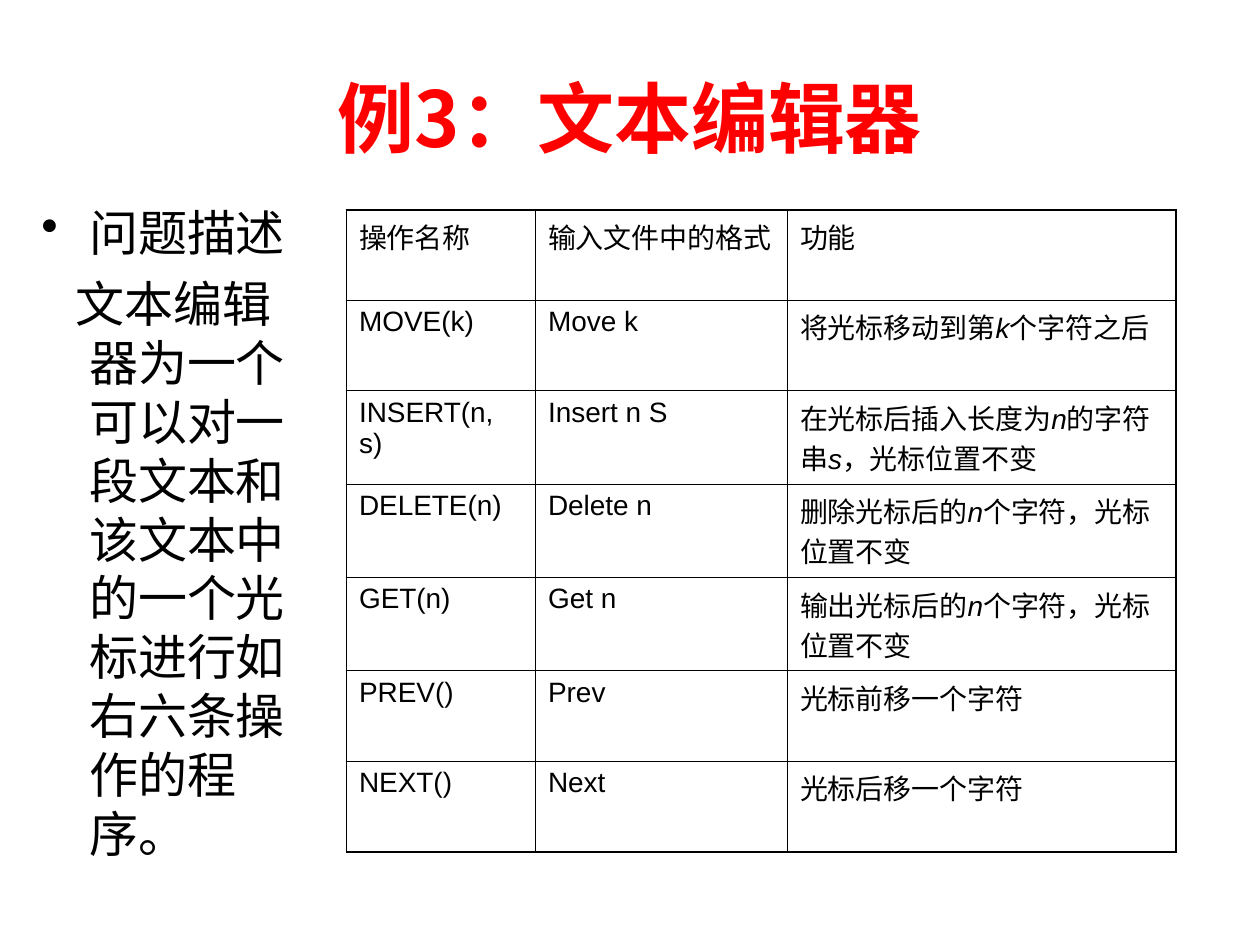
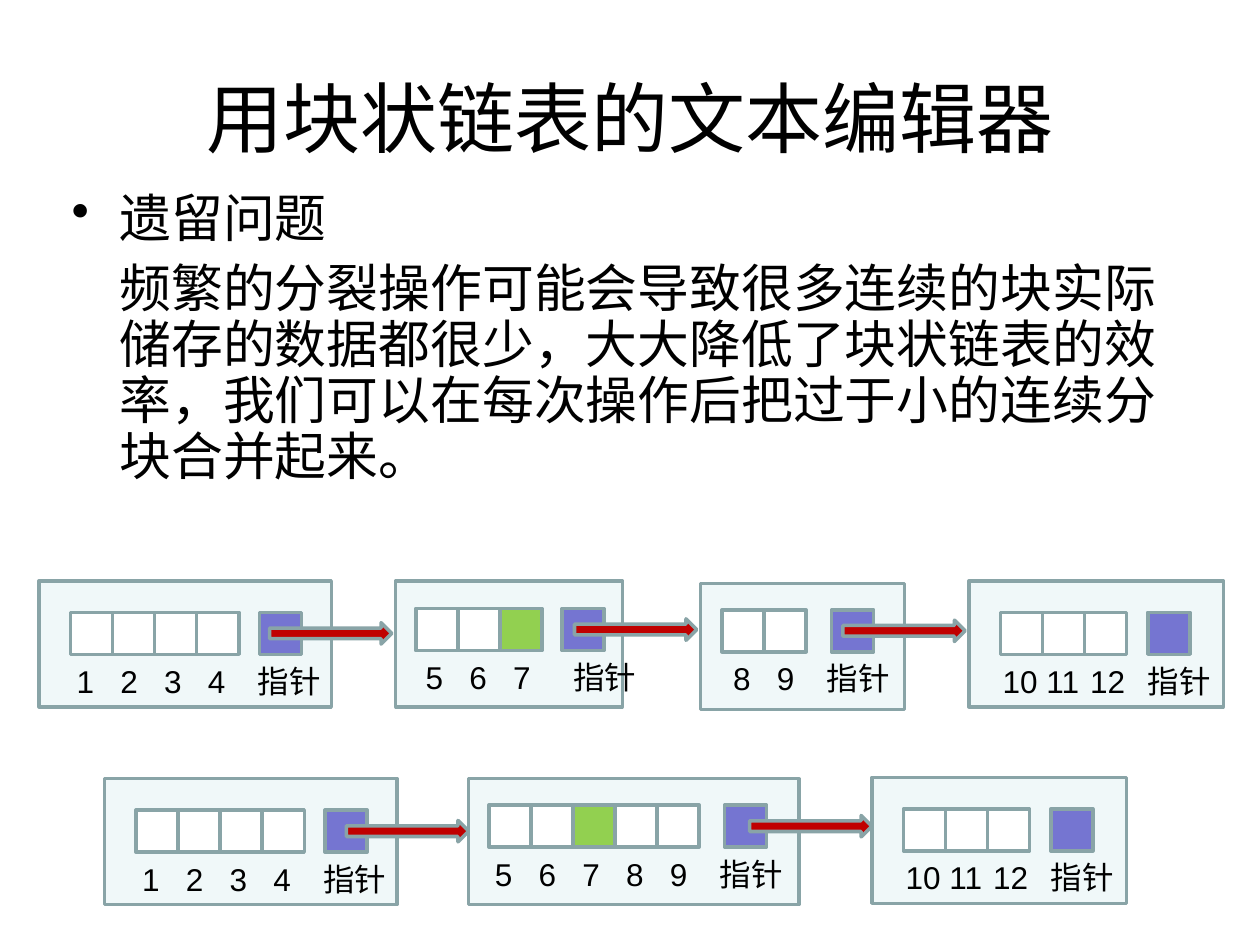
from dataclasses import dataclass

from lxml import etree
from pptx import Presentation
from pptx.dml.color import RGBColor
from pptx.enum.shapes import MSO_SHAPE
from pptx.enum.text import MSO_ANCHOR, MSO_AUTO_SIZE, PP_ALIGN
from pptx.oxml.ns import qn
from pptx.util import Inches, Pt

RECTANGLE = MSO_SHAPE.RECTANGLE
RIGHT_ARROW = MSO_SHAPE.RIGHT_ARROW
CENTER = PP_ALIGN.CENTER
MIDDLE = MSO_ANCHOR.MIDDLE
NO_AUTOFIT = MSO_AUTO_SIZE.NONE

BLACK = RGBColor(0x00, 0x00, 0x00)
WHITE = RGBColor(0xFF, 0xFF, 0xFF)
RED = RGBColor(0xFF, 0x00, 0x00)
BLOCK_FILL = RGBColor(0xBB, 0xE0, 0xE3)
OUTLINE = RGBColor(0x89, 0xA4, 0xA7)
POINTER_FILL = RGBColor(0x75, 0x75, 0xD1)
MARK_FILL = RGBColor(0x92, 0xD0, 0x50)
ARROW_FILL = RGBColor(0xC0, 0x00, 0x00)

CJK_FONT = "Noto Sans CJK JP"
LATIN_FONT = "Arial"

GRID_COLUMNS, GRID_ROWS = 100, 75
GRID_INCHES = 0.1
HANG = 3.8
CELL_SIDE = 3.34
NUMBER_STEP = 3.47
BLOCK_HEIGHT = 10
ARROW_LENGTH, ARROW_HEIGHT = 9.7, 1.7
MARKED_NUMBER = 7

OPERATIONS = [
    ("操作名称", "输入文件中的格式", "功能"),
    ("MOVE(k)", "Move k", "将光标移动到第*k*个字符之后"),
    ("INSERT(n, s)", "Insert n S", "在光标后插入长度为*n*的字符串*s*，光标位置不变"),
    ("DELETE(n)", "Delete n", "删除光标后的*n*个字符，光标位置不变"),
    ("GET(n)", "Get n", "输出光标后的*n*个字符，光标位置不变"),
    ("PREV()", "Prev", "光标前移一个字符"),
    ("NEXT()", "Next", "光标后移一个字符"),
]
OPERATION_COLUMNS = (15, 20, 30.8)
OPERATION_ROWS = (7.18, 7.18, 7.41, 7.41, 7.41, 7.18, 7.18)
TIGHT_ROW = 1


@dataclass
class Block:
    numbers: range
    width: float
    cells_left: float
    cells_top: float
    pointer_left: float
    label_left: float
    label_gap: float = 0.5


FIRST_BLOCK = Block(range(1, 5), 23.2, 2.5, 2.5, 17.5, 2)
MIDDLE_BLOCK = Block(range(5, 8), 18, 1.6, 2.2, 13.2, 1.4, 1.3)
SHORT_BLOCK = Block(range(8, 10), 16.2, 1.7, 2.1, 10.4, 1.6)
MERGED_BLOCK = Block(range(5, 10), 26.2, 1.6, 2.1, 20.3, 1.1)
LAST_BLOCK = Block(range(10, 13), 20.2, 2.5, 2.5, 14.2, 1.7, 1.1)

SPLIT_CHAIN = [
    (FIRST_BLOCK, 3.1, 46.1),
    (MIDDLE_BLOCK, 31.4, 46.1),
    (SHORT_BLOCK, 55.6, 46.3),
    (LAST_BLOCK, 76.9, 46.1),
]
MERGED_CHAIN = [
    (FIRST_BLOCK, 8.3, 61.8),
    (MERGED_BLOCK, 37.2, 61.8),
    (LAST_BLOCK, 69.2, 61.7),
]


def grid(count):
    return Inches(count * GRID_INCHES)


def area(left, top, width, height):
    return [grid(value) for value in (left, top, width, height)]


def write(para, text, size, font=CJK_FONT, color=BLACK, bold=False, align=None,
          before=0, spacing=None, margin=0, indent=0, bullet=None):
    para.alignment = align
    para.space_before = Pt(before)
    if spacing:
        para.line_spacing = spacing
    properties = para._p.get_or_add_pPr()
    properties.set("marL", str(grid(margin)))
    properties.set("indent", str(grid(indent)))
    properties.set("hangingPunct", "0")
    if bullet:
        etree.SubElement(properties, qn("a:buChar"), char=bullet)
    for index, part in enumerate(text.split("*")):
        span = para.add_run()
        span.text = part
        span.font.size = Pt(size)
        span.font.name = font
        span.font.bold = bold
        span.font.italic = index % 2 == 1
        span.font.color.rgb = color
        etree.SubElement(span._r.get_or_add_rPr(), qn("a:ea"), typeface=CJK_FONT)


def add_titled_page(deck, title, **style):
    page = deck.slides.add_slide(deck.slide_layouts[5])
    box = page.shapes.title
    box.left, box.top, box.width, box.height = area(5, 3, 90, 12.5)
    box.text_frame.auto_size = NO_AUTOFIT
    box.text_frame.vertical_anchor = MIDDLE
    write(box.text_frame.paragraphs[0], title, 44, align=CENTER, **style)
    return page


def add_text_box(page, *place):
    frame = page.shapes.add_textbox(*area(*place)).text_frame
    frame.word_wrap = True
    return frame


def add_bullet_text(page, place, heading, body, size, spacing, before, indent=0):
    frame = add_text_box(page, *place)
    write(frame.paragraphs[0], heading, size, spacing=spacing,
          margin=HANG, indent=-HANG, bullet="•")
    write(frame.add_paragraph(), body, size, spacing=spacing, before=before,
          margin=HANG, indent=indent)


def make_border(side, width):
    line = etree.Element(qn(f"a:ln{side}"), w=str(Pt(width)))
    fill = etree.SubElement(line, qn("a:solidFill"))
    etree.SubElement(fill, qn("a:srgbClr"), val=str(BLACK))
    return line


def add_operation_table(page):
    row_count, column_count = len(OPERATIONS), len(OPERATION_COLUMNS)
    place = area(27.5, 16.65, sum(OPERATION_COLUMNS), sum(OPERATION_ROWS))
    table = page.shapes.add_table(row_count, column_count, *place).table
    table.first_row = table.horz_banding = False
    for column, width in zip(table.columns, OPERATION_COLUMNS):
        column.width = grid(width)
    for row_index, texts in enumerate(OPERATIONS):
        table.rows[row_index].height = grid(OPERATION_ROWS[row_index])
        for column_index, text in enumerate(texts):
            cell = table.cell(row_index, column_index)
            cell.fill.background()
            if row_index == TIGHT_ROW:
                cell.margin_right = grid(0.5)
            outer_sides = {
                "L": column_index == 0,
                "R": column_index == column_count - 1,
                "T": row_index == 0,
                "B": row_index == row_count - 1,
            }
            properties = cell._tc.get_or_add_tcPr()
            for position, (side, outer) in enumerate(outer_sides.items()):
                border = make_border(side, 1.25 if outer else 0.45)
                properties.insert(position, border)
            write(cell.text_frame.paragraphs[0], text, 16, font=LATIN_FONT)


def add_outlined_shape(page, kind, place, color, opacity=None):
    shape = page.shapes.add_shape(kind, *area(*place))
    shape.shadow.inherit = False
    shape.fill.solid()
    shape.fill.fore_color.rgb = color
    if opacity:
        tint = shape._element.spPr.find(f".//{qn('a:srgbClr')}")
        etree.SubElement(tint, qn("a:alpha"), val=str(opacity * 1000))
    shape.line.color.rgb = OUTLINE
    shape.line.width = Pt(2)


def add_label(page, text, left, top, width):
    frame = add_text_box(page, left, top, width, 4)
    write(frame.paragraphs[0], text, 18, font=LATIN_FONT)


def add_block(page, block, left, top):
    add_outlined_shape(page, RECTANGLE, (left, top, block.width, BLOCK_HEIGHT),
                       BLOCK_FILL, opacity=21)
    cells_top = top + block.cells_top
    label_left = left + block.label_left
    label_top = cells_top + CELL_SIDE + 0.1
    for index, number in enumerate(block.numbers):
        cell_left = left + block.cells_left + index * CELL_SIDE
        color = MARK_FILL if number == MARKED_NUMBER else WHITE
        add_outlined_shape(page, RECTANGLE,
                           (cell_left, cells_top, CELL_SIDE, CELL_SIDE), color)
        add_label(page, str(number), label_left + index * NUMBER_STEP, label_top, 5)
    add_outlined_shape(page, RECTANGLE,
                       (left + block.pointer_left, cells_top, CELL_SIDE, CELL_SIDE),
                       POINTER_FILL)
    pointer_label_left = label_left + len(block.numbers) * NUMBER_STEP + block.label_gap
    add_label(page, "指针", pointer_label_left, label_top, 7.5)


def add_chain(page, chain, arrow_gap):
    for block, left, top in chain:
        add_block(page, block, left, top)
    for (block, _, top), (_, next_left, _) in zip(chain, chain[1:]):
        arrow_left = next_left - arrow_gap - ARROW_LENGTH
        arrow_top = top + block.cells_top + (CELL_SIDE - ARROW_HEIGHT) / 2
        add_outlined_shape(page, RIGHT_ARROW,
                           (arrow_left, arrow_top, ARROW_LENGTH, ARROW_HEIGHT),
                           ARROW_FILL)


def build_problem_page(deck):
    page = add_titled_page(deck, "例3：文本编辑器", color=RED, bold=True)
    add_bullet_text(
        page, (2.3, 15.6, 23.3, 53.3), "问题描述",
        "文本编辑器为一个可以对一段文本和该文本中的一个光标进行如右六条操作的程序。",
        size=28, spacing=1.0, before=7, indent=-1.1)
    add_operation_table(page)


def build_merge_page(deck):
    page = add_titled_page(deck, "用块状链表的文本编辑器")
    add_bullet_text(
        page, (4.7, 14.8, 90.6, 27.3), "遗留问题",
        "频繁的分裂操作可能会导致很多连续的块实际储存的数据都很少，大大降低了"
        "块状链表的效率，我们可以在每次操作后把过于小的连续分块合并起来。",
        size=29.6, spacing=0.9, before=8)
    add_chain(page, SPLIT_CHAIN, arrow_gap=0.3)
    add_chain(page, MERGED_CHAIN, arrow_gap=0)


def main():
    deck = Presentation()
    deck.slide_width = grid(GRID_COLUMNS)
    deck.slide_height = grid(GRID_ROWS)
    build_problem_page(deck)
    build_merge_page(deck)
    deck.save("out.pptx")


if __name__ == "__main__":
    main()
